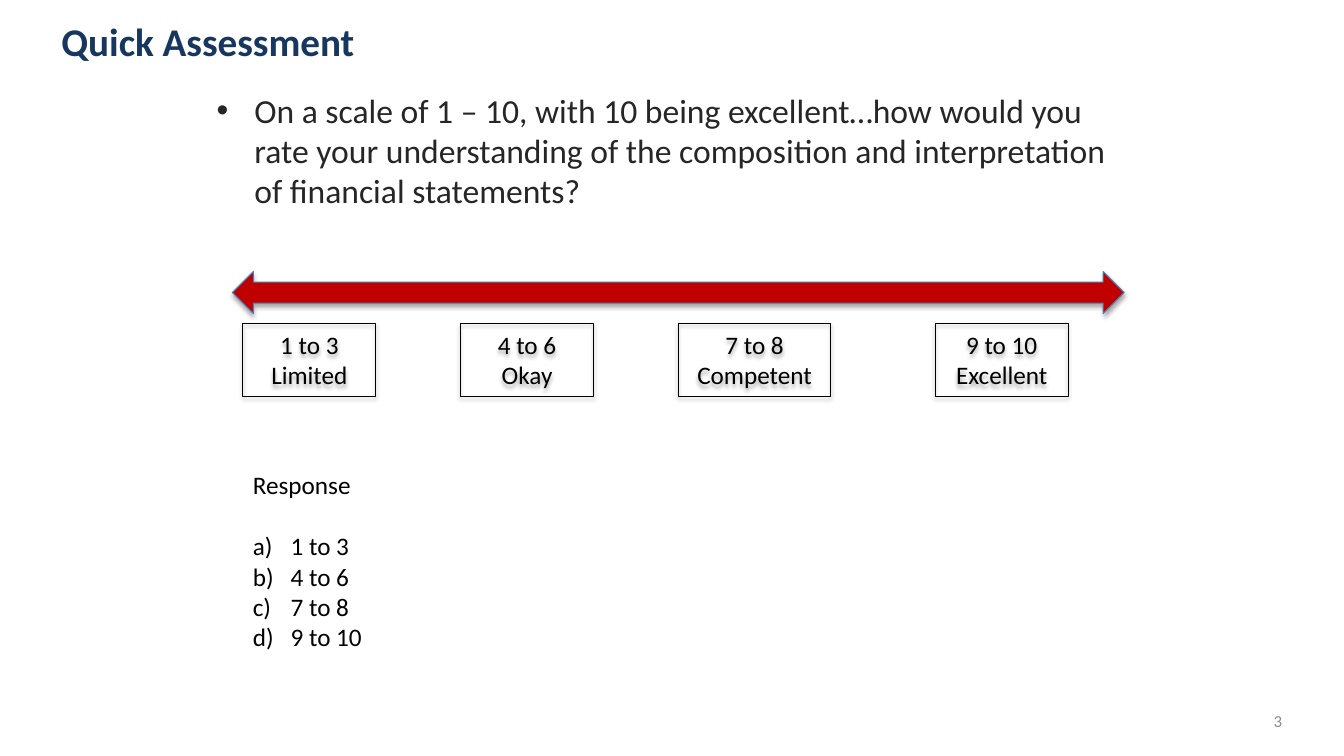
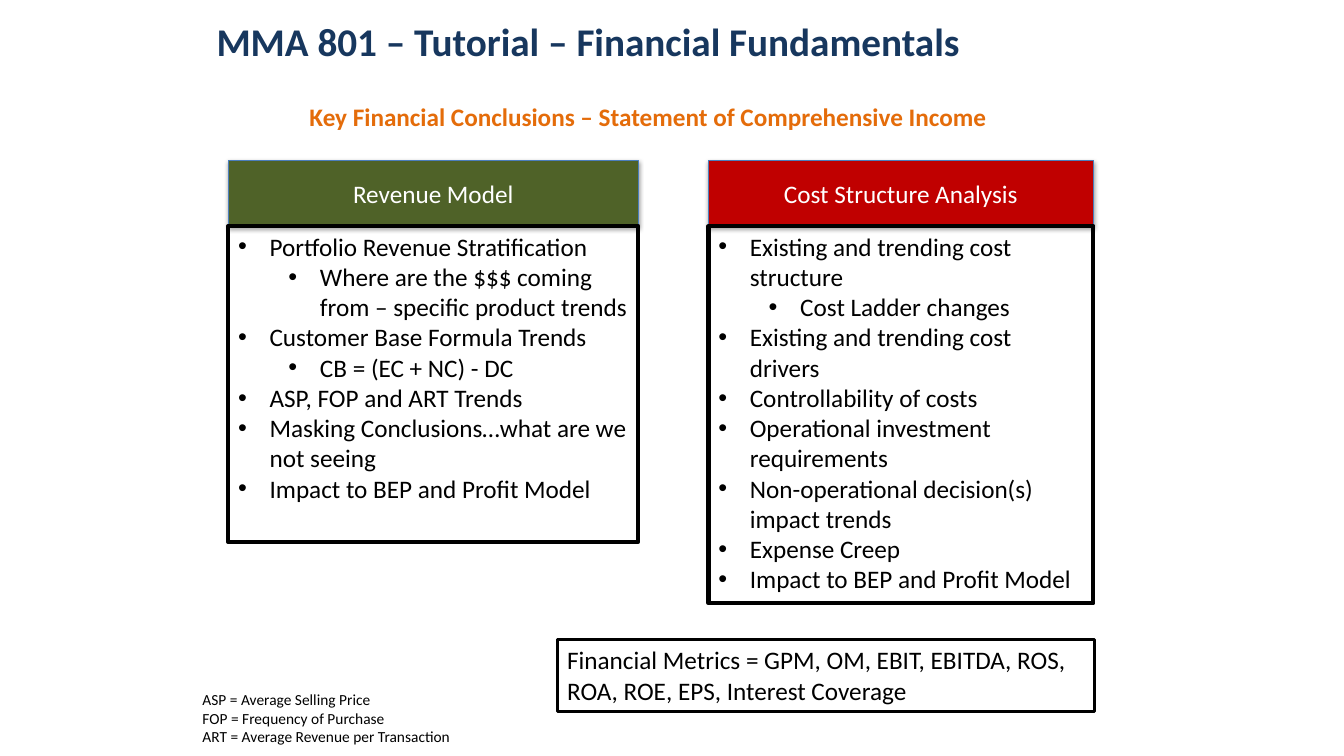
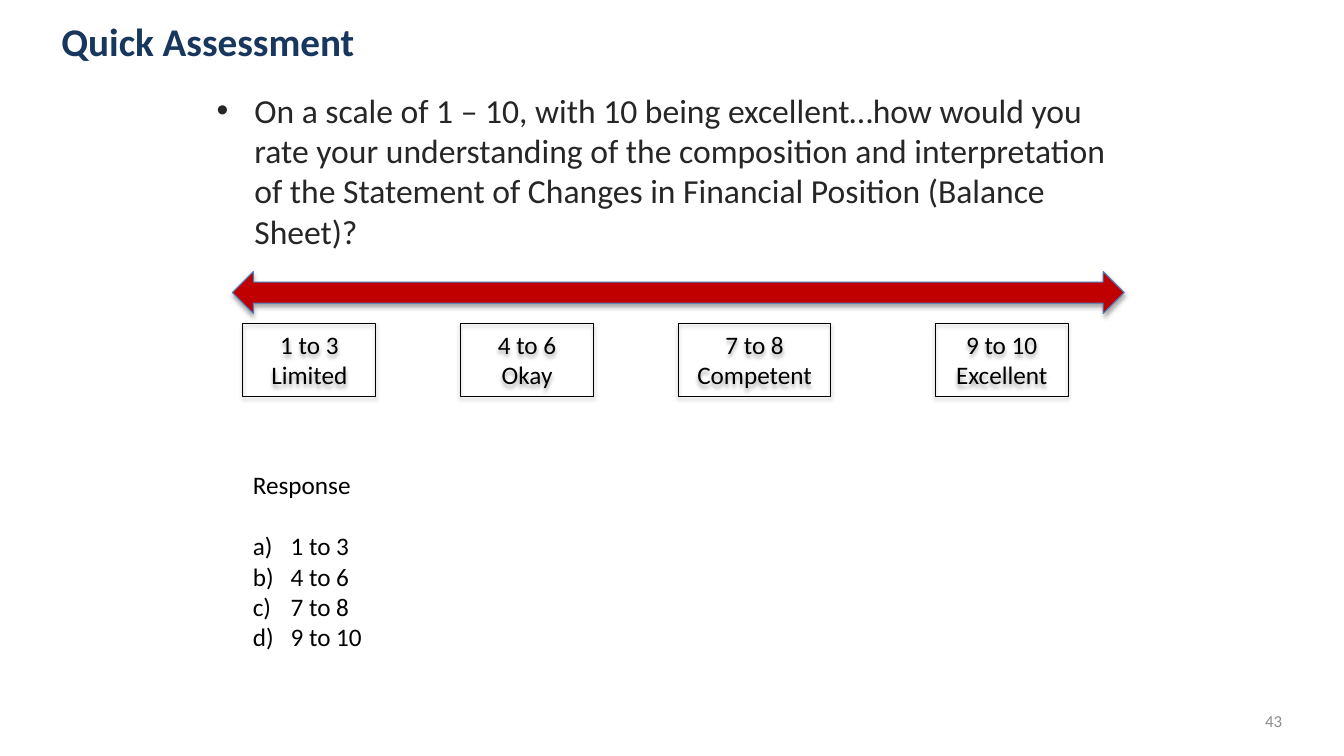
from dataclasses import dataclass
from typing import NamedTuple

from lxml.etree import SubElement
from pptx import Presentation
from pptx.dml.color import RGBColor
from pptx.enum.shapes import MSO_SHAPE as Preset
from pptx.enum.text import MSO_ANCHOR as Anchor, PP_ALIGN as Align
from pptx.oxml.ns import qn
from pptx.util import Pt

# Shared style
FONT = "Calibri"
NAVY = RGBColor(0x17, 0x37, 0x5E)
ORANGE = RGBColor(0xE4, 0x6C, 0x0A)
GREEN = RGBColor(0x4F, 0x62, 0x28)
RED = RGBColor(0xC0, 0x00, 0x00)
EDGE_BLUE = RGBColor(0x4B, 0x7E, 0xBC)
CHARCOAL = RGBColor(0x26, 0x26, 0x26)
GREY = RGBColor(0x8C, 0x8C, 0x8C)
BLACK = RGBColor(0x00, 0x00, 0x00)
WHITE = RGBColor(0xFF, 0xFF, 0xFF)

BULLET = "•"
LETTER = "a)"
LEVEL_STEP = 36


class Area(NamedTuple):
    left: float
    top: float
    width: float
    height: float

    def lengths(self) -> list:
        return [Pt(value) for value in self]


class Line(NamedTuple):
    text: str
    marker: str = ""
    level: int = 0
    before: float = 0


@dataclass
class Rating:
    span: str
    label: str
    left: float
    width: float = 95


@dataclass
class Panel:
    heading: str
    color: RGBColor
    left: float
    width: float
    height: float
    lines: list


@dataclass
class Assessment:
    question: str
    number: int


RATINGS = [
    Rating("1 to 3", "Limited", 173.5),
    Rating("4 to 6", "Okay", 329),
    Rating("7 to 8", "Competent", 484.5, 109),
    Rating("9 to 10", "Excellent", 668),
]

QUESTION = ("On a scale of 1 – 10, with 10 being excellent…how would you rate your "
            "understanding of the composition and interpretation of ")
FIRST_CHECK = Assessment(QUESTION + "financial statements?", 3)
SECOND_CHECK = Assessment(
    QUESTION + "the Statement of Changes in Financial Position (Balance Sheet)?", 43)

PANELS = [
    Panel("Revenue Model", GREEN, 163, 293, 225.5, [
        Line("Portfolio Revenue Stratification", BULLET),
        Line("Where are the $$$ coming from – specific product trends", BULLET, 1),
        Line("Customer Base Formula Trends", BULLET),
        Line("CB = (EC + NC) - DC", BULLET, 1),
        Line("ASP, FOP and ART Trends", BULLET),
        Line("Masking Conclusions…what are we not seeing", BULLET),
        Line("Impact to BEP and Profit Model", BULLET),
    ]),
    Panel("Cost Structure Analysis", RED, 506, 275, 269.5, [
        Line("Existing and trending cost structure", BULLET),
        Line("Cost Ladder changes", BULLET, 1),
        Line("Existing and trending cost drivers", BULLET),
        Line("Controllability of costs", BULLET),
        Line("Operational investment requirements", BULLET),
        Line("Non-operational decision(s) impact trends", BULLET),
        Line("Expense Creep", BULLET),
        Line("Impact to BEP and Profit Model", BULLET),
    ]),
]


# Text
def mark(para, line: Line, indent: float) -> None:
    """Give a paragraph a hanging bullet or an automatic letter."""
    props = para._p.get_or_add_pPr()
    props.set("marL", str(Pt(indent + line.level * LEVEL_STEP)))
    props.set("indent", str(Pt(-indent)))
    if line.marker == LETTER:
        SubElement(props, qn("a:buAutoNum"), type="alphaLcParenR")
    else:
        SubElement(props, qn("a:buFont"), typeface="Arial")
        SubElement(props, qn("a:buChar"), char=line.marker)


def write(box, lines: list, *, size: float = 18, color: RGBColor = BLACK,
          bold: bool = False, align=Align.LEFT, anchor=Anchor.TOP,
          indent: float = 27) -> None:
    frame = box.text_frame
    frame.word_wrap = True
    frame.vertical_anchor = anchor
    for index, line in enumerate(lines):
        para = frame.add_paragraph() if index else frame.paragraphs[0]
        para.alignment = align
        para.level = line.level
        if line.before:
            para.space_before = Pt(line.before)
        if line.marker:
            mark(para, line, indent)
        span = para.add_run()
        span.text = line.text
        span.font.name = FONT
        span.font.size = Pt(size)
        span.font.bold = bold
        span.font.color.rgb = color


def add_text(page, area: Area, lines: list, **style) -> None:
    write(page.shapes.add_textbox(*area.lengths()), lines, **style)


# Shapes
def add_shadow(shape) -> None:
    effects = shape._element.spPr.find(qn("a:effectLst"))
    shadow = SubElement(effects, qn("a:outerShdw"), blurRad=str(Pt(3.1)),
                        dist=str(Pt(1.8)), dir="5400000", rotWithShape="0")
    tint = SubElement(shadow, qn("a:srgbClr"), val=str(BLACK))
    SubElement(tint, qn("a:alpha"), val="35000")


def add_box(page, area: Area, *, preset=Preset.RECTANGLE, fill: RGBColor | None = None,
            edge: RGBColor = BLACK, weight: float = 0.75, shadow: bool = False):
    box = page.shapes.add_shape(preset, *area.lengths())
    box.shadow.inherit = False
    if shadow:
        add_shadow(box)
    if fill is None:
        box.fill.background()
    else:
        box.fill.solid()
        box.fill.fore_color.rgb = fill
    box.line.color.rgb = edge
    box.line.width = Pt(weight)
    return box


# Parts shared by the pages
def add_page(deck, title: str, left: float, width: float):
    page = deck.slides.add_slide(deck.slide_layouts[6])
    add_text(page, Area(left, 3.6, width, 51), [Line(title)],
             size=28, color=NAVY, bold=True, anchor=Anchor.MIDDLE)
    return page


def add_assessment(deck, check: Assessment) -> None:
    page = add_page(deck, "Quick Assessment", 36.7, 788)
    add_text(page, Area(147.6, 60.5, 665, 260), [Line(check.question, BULLET)],
             size=24, color=CHARCOAL)
    add_text(page, Area(707, 500.5, 216, 28.8), [Line(str(check.number))],
             size=12, color=GREY, align=Align.RIGHT, anchor=Anchor.MIDDLE)

    # Rating scale
    add_box(page, Area(166, 194, 637, 30), preset=Preset.LEFT_RIGHT_ARROW,
            fill=RED, edge=EDGE_BLUE, shadow=True)
    for rating in RATINGS:
        box = add_box(page, Area(rating.left, 231, rating.width, 52), shadow=True)
        write(box, [Line(rating.span), Line(rating.label)],
              align=Align.CENTER, anchor=Anchor.MIDDLE)

    # Response choices
    choices = [Line(rating.span, LETTER, before=0 if index else 22)
               for index, rating in enumerate(RATINGS)]
    add_text(page, Area(173.5, 332, 409, 138), [Line("Response"), *choices])


def add_conclusions(deck) -> None:
    page = add_page(deck, "MMA 801 – Tutorial – Financial Fundamentals", 147.6, 590)
    add_text(page, Area(214, 69, 585, 29),
             [Line("Key Financial Conclusions – Statement of Comprehensive Income")],
             color=ORANGE, bold=True)

    # Headed panels
    top, heading_height = 114.5, 47
    for panel in PANELS:
        heading = add_box(page, Area(panel.left, top, panel.width, heading_height),
                          fill=panel.color, edge=EDGE_BLUE, shadow=True)
        write(heading, [Line(panel.heading)], color=WHITE,
              align=Align.CENTER, anchor=Anchor.MIDDLE)
        body = add_box(page, Area(panel.left, top + heading_height,
                                  panel.width, panel.height), weight=3)
        write(body, panel.lines, indent=22.5)

    # Metrics and abbreviations
    metrics = add_box(page, Area(398, 457, 384, 51), weight=2.25)
    write(metrics, [Line("Financial Metrics = GPM, OM, EBIT, EBITDA, ROS, ROA, ROE, EPS, "
                         "Interest Coverage")])
    add_text(page, Area(137.5, 489.5, 342, 47.5),
             [Line("ASP = Average Selling Price"),
              Line("FOP = Frequency of Purchase"),
              Line("ART = Average Revenue per Transaction")], size=11)


def main() -> None:
    deck = Presentation()
    deck.slide_width, deck.slide_height = Pt(960), Pt(540)
    add_assessment(deck, FIRST_CHECK)
    add_conclusions(deck)
    add_assessment(deck, SECOND_CHECK)
    deck.save("out.pptx")


if __name__ == "__main__":
    main()
